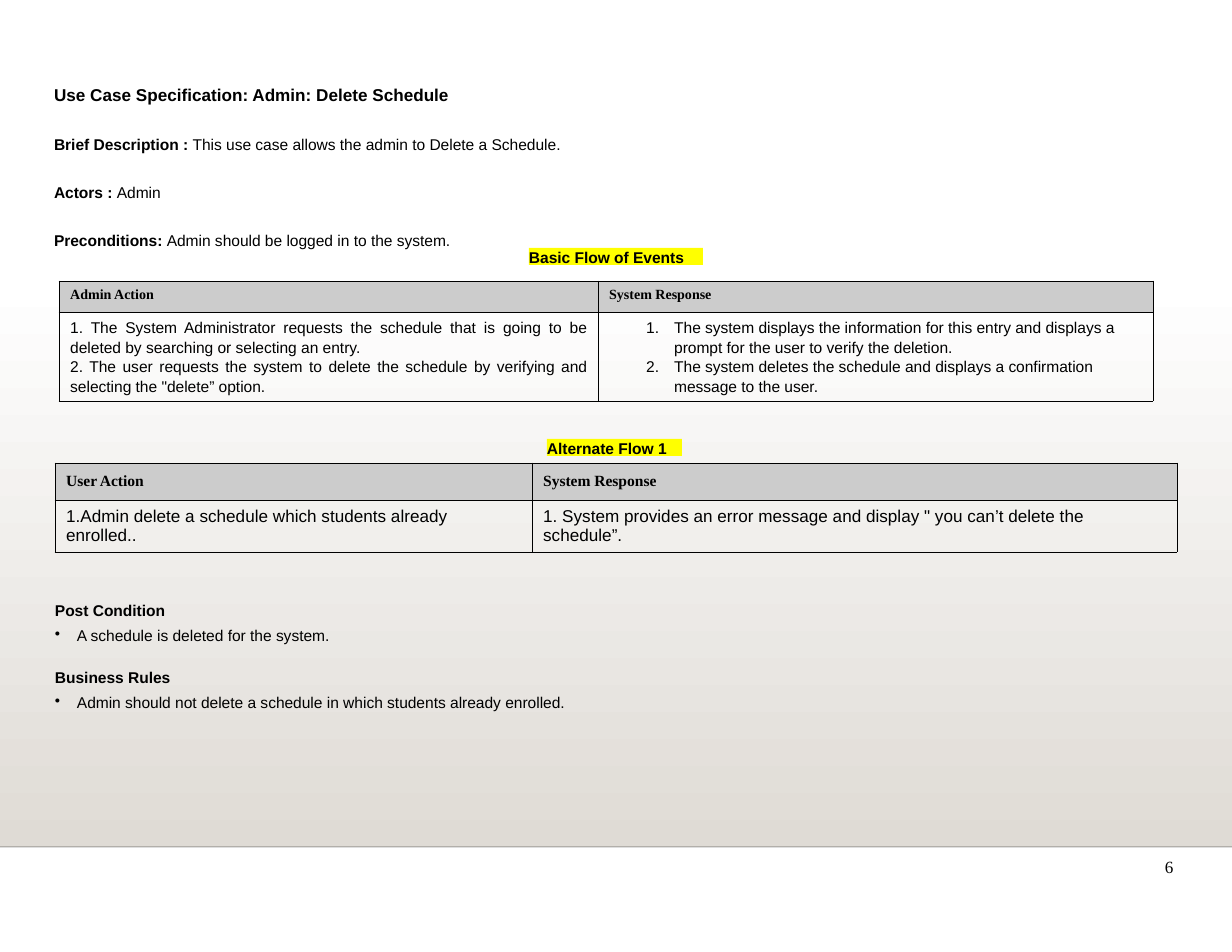
from lxml import etree
from pptx import Presentation
from pptx import util as u
from pptx.dml.color import RGBColor
from pptx.enum import shapes, text
from pptx.oxml import parse_xml
from pptx.oxml.ns import nsdecls, qn

COLORS = {"ink": "000000", "rule": "000001", "paper": "FFFFFF", "sand": "DFDBD5",
          "header": "CCCCCC", "marker": "FFFF00"}
SANS, SERIF = "Arial", "Times New Roman"

# Content: positions are px at 112 to the inch
TITLE = "Use Case Specification: Admin: Delete Schedule"
SUMMARY = [
    ("Brief Description : ", "This use case allows the admin to Delete a Schedule."),
    ("Actors : ", "Admin"),
    ("Preconditions: ", "Admin should be logged in to the system."),
]
HEADINGS = [
    ("Basic Flow of Events", (529, 248, 174, 17)),
    ("Alternate Flow 1", (547, 439, 135, 17)),
]
BASIC_FLOW = {
    "at": (59, 281), "cols": (539, 555), "rows": (31, 89),
    "head_size": 9, "body_size": 10, "spacing": 12.5,
    "anchors": ("TOP", "BOTTOM"), "aligns": ("JUSTIFY", "LEFT"), "numbered": (False, True),
    "head": ("Admin Action", "System Response"),
    "body": (
        ("1. The System Administrator requests the schedule that is going to be deleted "
         "by searching or selecting an entry.",
         "2. The user requests the system to delete the schedule by verifying and "
         "selecting the \"delete” option."),
        ("The system displays the information for this entry and displays a prompt for "
         "the user to verify the deletion.",
         "The system deletes the schedule and displays a confirmation message to the user."),
    ),
}
ALTERNATE_FLOW = {
    "at": (55, 463), "cols": (477, 645), "rows": (37, 52),
    "head_size": 10, "body_size": 11, "spacing": None,
    "anchors": ("MIDDLE", "MIDDLE"), "aligns": ("LEFT", "LEFT"), "numbered": (False, False),
    "head": ("User Action", "System Response"),
    "body": (
        ("1.Admin delete a schedule which students already enrolled..",),
        ("1. System provides an error message and display \" you can’t delete the schedule”.",),
    ),
}
OUTCOMES = [
    ("Post Condition", "A schedule is deleted for the system."),
    ("Business Rules", "Admin should not delete a schedule in which students already enrolled."),
]
PAGE_NUMBER = "6"


def px(n):
    return u.Inches(n / 112)


def rgb(name):
    return RGBColor.from_string(COLORS[name])


def add_run(para, words, size, bold=False, font=SANS):
    run = para.add_run()
    run.text = words
    run.font.size, run.font.bold, run.font.name = u.Pt(size), bold, font
    run.font.color.rgb = rgb("ink")


def next_para(frame, index, align="LEFT", spacing=None, after=0):
    para = frame.add_paragraph() if index else frame.paragraphs[0]
    para.alignment = text.PP_ALIGN[align]
    para.space_before, para.space_after = u.Pt(0), u.Pt(after)
    para.line_spacing = u.Pt(spacing) if spacing else 1.0
    return para


def set_list(para, margin, indent, tag, **attrs):
    props = para._p.get_or_add_pPr()
    props.set("marL", str(px(margin)))
    props.set("indent", str(px(indent)))
    etree.SubElement(props, qn(f"a:{tag}"), attrs)


def clear_frame(shape):
    frame = shape.text_frame
    frame.margin_left = frame.margin_right = frame.margin_top = frame.margin_bottom = 0
    frame.word_wrap = True
    frame.auto_size = text.MSO_AUTO_SIZE.NONE
    frame.vertical_anchor = text.MSO_ANCHOR.TOP
    return frame


def add_text(slide, *box):
    return clear_frame(slide.shapes.add_textbox(*map(px, box)))


def add_rect(slide, *box):
    rect = slide.shapes.add_shape(shapes.MSO_SHAPE.RECTANGLE, *map(px, box))
    rect.shadow.inherit = False
    rect.line.fill.background()
    return rect


def set_borders(cell):
    props = cell._tc.get_or_add_tcPr()
    for i, side in enumerate(("lnL", "lnR", "lnT", "lnB")):
        props.insert(i, parse_xml(
            f'<a:{side} {nsdecls("a")} w="5715"><a:solidFill>'
            f'<a:srgbClr val="{COLORS["ink"]}"/></a:solidFill></a:{side}>'))


def add_flow(slide, flow):
    cols, rows = flow["cols"], flow["rows"]
    table = slide.shapes.add_table(len(rows), len(cols), *map(px, flow["at"]),
                                   px(sum(cols)), px(sum(rows))).table
    table.first_row = table.horz_banding = False
    for r, height in enumerate(rows):
        table.rows[r].height = px(height)
    for c, width in enumerate(cols):
        table.columns[c].width = px(width)
        head, body = table.cell(0, c), table.cell(1, c)
        head.fill.solid()
        head.fill.fore_color.rgb = rgb("header")
        body.fill.background()
        for cell, anchor in zip((head, body), flow["anchors"]):
            cell.vertical_anchor = text.MSO_ANCHOR[anchor]
            set_borders(cell)
        align = flow["aligns"][c]
        add_run(next_para(head.text_frame, 0, align), flow["head"][c],
                flow["head_size"], True, SERIF)
        for i, step in enumerate(flow["body"][c]):
            para = next_para(body.text_frame, i, align, flow["spacing"])
            if flow["numbered"][c]:
                set_list(para, 65, -28, "buAutoNum", type="arabicPeriod")
            add_run(para, step, flow["body_size"])


def main():
    deck = Presentation()
    deck.slide_width, deck.slide_height = u.Inches(11), u.Inches(8.5)
    slide = deck.slides.add_slide(deck.slide_layouts[5])
    slide.background.fill.solid()
    slide.background.fill.fore_color.rgb = rgb("paper")

    # Backdrop fading down to the footer rule
    backdrop = add_rect(slide, 0, 280, 1232, 567)
    backdrop.fill.gradient()
    backdrop.fill.gradient_angle = 270
    for stop, name in zip(backdrop.fill.gradient_stops, ("paper", "sand")):
        stop.color.rgb = rgb(name)
    rule = slide.shapes.add_connector(shapes.MSO_CONNECTOR.STRAIGHT,
                                      0, px(847), px(1232), px(847))
    rule.line.width = u.Pt(1)
    rule.line.color.rgb = rgb("rule")
    color = rule.line._ln.find(".//" + qn("a:srgbClr"))
    etree.SubElement(color, qn("a:alpha"), val="20000")
    etree.SubElement(rule._element.spPr, qn("a:effectLst"))

    # Title and summary
    title = slide.shapes.title
    title.left, title.top, title.width, title.height = map(px, (54, 57, 576, 18))
    add_run(next_para(clear_frame(title), 0, spacing=30.7), TITLE, 11, True)
    summary = add_text(slide, 54, 106, 576, 114)
    for i, (label, detail) in enumerate(SUMMARY):
        para = next_para(summary, i, spacing=30.7)
        add_run(para, label, 10, True)
        add_run(para, detail, 10)

    # Flows under their highlighted headings
    for (heading, box), flow in zip(HEADINGS, (BASIC_FLOW, ALTERNATE_FLOW)):
        marker = add_rect(slide, *box)
        marker.fill.solid()
        marker.fill.fore_color.rgb = rgb("marker")
        add_run(next_para(clear_frame(marker), 0), heading, 10, True)
        add_flow(slide, flow)

    # Outcomes
    outcomes = add_text(slide, 55, 601, 589, 120)
    for i, (heading, point) in enumerate(OUTCOMES):
        add_run(next_para(outcomes, 2 * i, after=4.2), heading, 10, True)
        para = next_para(outcomes, 2 * i + 1, "JUSTIFY", after=14.7)
        set_list(para, 22, -22, "buChar", char="•")
        add_run(para, point, 10)

    # Page number
    add_run(next_para(add_text(slide, 1165, 856, 12, 17), 0), PAGE_NUMBER, 11, font=SERIF)
    deck.save("out.pptx")


if __name__ == "__main__":
    main()
